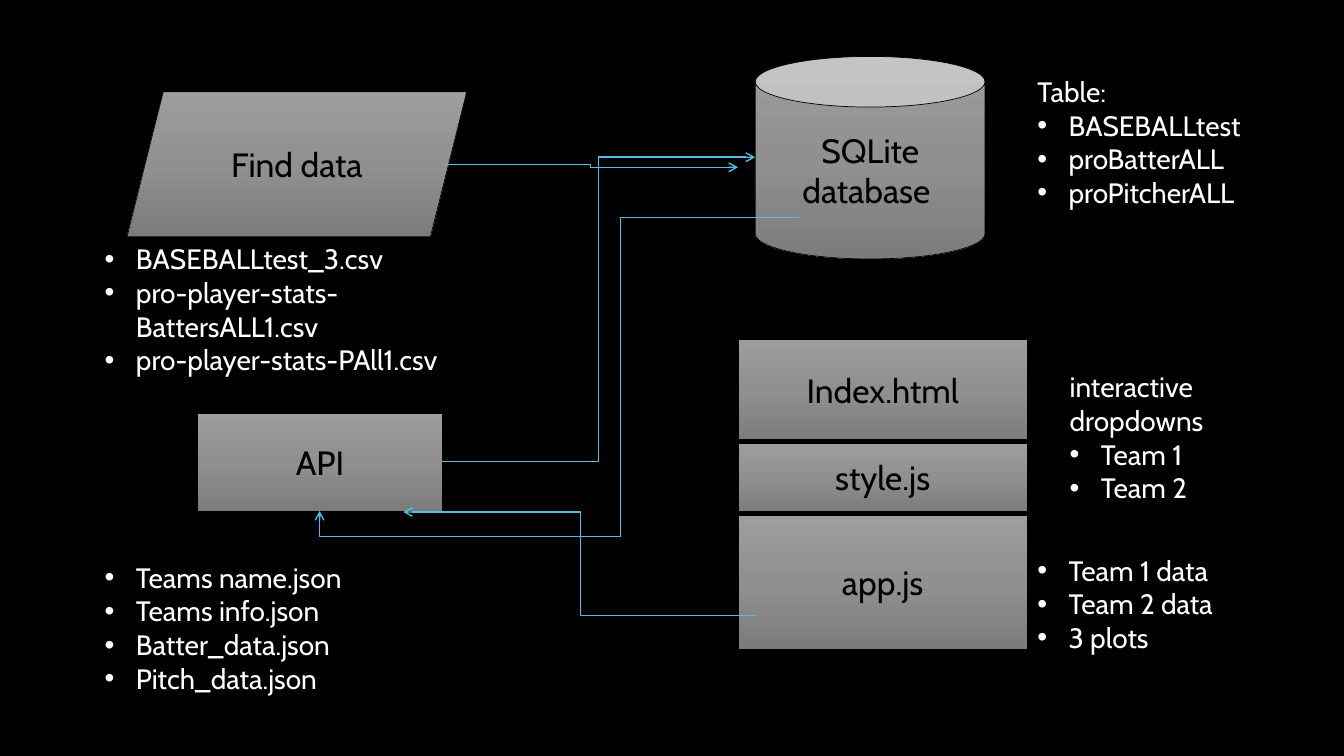
from copy import deepcopy
from dataclasses import dataclass

from lxml.etree import SubElement
from pptx import Presentation
from pptx.dml.color import RGBColor
from pptx.enum.shapes import MSO_CONNECTOR, MSO_SHAPE
from pptx.enum.text import MSO_ANCHOR, MSO_AUTO_SIZE, PP_ALIGN
from pptx.oxml.ns import qn
from pptx.util import Inches, Pt


@dataclass(frozen=True)
class Theme:
    """Colours, font and sizes of the slide."""
    background: str = "000000"
    box_text: str = "000000"
    note_text: str = "FFFFFF"
    outline: str = "000000"
    flow: str = "57BCE5"
    gradient: tuple = ((0, "9D9D9D"), (0.5, "909090"), (1, "7C7C7C"))
    font: str = "Cabin"
    box_size: int = 24
    note_size: int = 20
    outline_width: float = 0.5
    flow_width: float = 1
    bullet_indent: float = 0.31


THEME = Theme()

# Text, shape, (left, top, width, height)
STORES = [
    ("SQLite database ", MSO_SHAPE.CAN, (7.49, 0.56, 2.28, 2.01)),
    ("Find data", MSO_SHAPE.PARALLELOGRAM, (1.26, 0.91, 3.37, 1.44)),
    ("API", MSO_SHAPE.RECTANGLE, (1.96, 4.1, 2.43, 0.97)),
]

# Web files stacked in one column: text, height
WEB_FILES = [("Index.html", 0.99), ("style.js", 0.68), ("app.js", 1.33)]
WEB_LEFT, WEB_TOP, WEB_WIDTH, WEB_GAP = 7.32, 3.37, 2.87, 0.035

# Start, end, preset, bend positions as shares of the width and height
FLOWS = [
    ((4.39, 1.63), (7.32, 1.66), "bentConnector3", (0.5,)),
    ((4.38, 4.58), (7.49, 1.56), "bentConnector3", (0.5,)),
    ((7.92, 2.16), (3.17, 5.07), "bentConnector4", (0.372, 1.086)),
    ((7.51, 6.11), (4, 5.08), "bentConnector3", (0.5,)),
]

# Heading, bullets, (left, top, width, height)
NOTES = [
    ("", ["BASEBALLtest_3.csv", "pro-player-stats-BattersALL1.csv",
          "pro-player-stats-PAll1.csv"], (0.94, 2.35, 3.7, 1.45)),
    ("Table:", ["BASEBALLtest", "proBatterALL", "proPitcherALL"],
     (10.19, 0.69, 2.87, 1.78)),
    ("", ["Teams name.json", "Teams info.json", "Batter_data.json",
          "Pitch_data.json"], (0.94, 5.51, 4.64, 1.78)),
    ("", ["Team 1 data", "Team 2 data", "3 plots"], (10.19, 5.44, 2.4, 1.11)),
    ("interactive dropdowns", ["Team 1", "Team 2"], (10.51, 3.62, 2.55, 1.45)),
]


def set_values(target, values):
    """Set every attribute named in a dict."""
    for name, value in values.items():
        setattr(target, name, value)


def write(para, text, size, color):
    """Add one formatted span of text to a paragraph."""
    span = para.add_run()
    span.text = text
    set_values(span.font, {"name": THEME.font, "size": Pt(size)})
    span.font.color.rgb = RGBColor.from_string(color)


def set_line(line, color, width):
    """Give a line its colour and width."""
    line.color.rgb = RGBColor.from_string(color)
    line.width = Pt(width)


def fill_gradient(shape):
    """Fill a shape with the grey gradient, running downwards."""
    shape.fill.gradient()
    shape.fill.gradient_angle = 270
    stop_list = shape._element.spPr.find(".//" + qn("a:gsLst"))
    stop_list.append(deepcopy(stop_list[0]))
    for stop, (position, color) in zip(shape.fill.gradient_stops, THEME.gradient):
        stop.position = position
        stop.color.rgb = RGBColor.from_string(color)


def add_box(page, text, kind, place):
    """Add a grey shape with centred text."""
    box = page.shapes.add_shape(kind, *map(Inches, place))
    box.shadow.inherit = False
    fill_gradient(box)
    set_line(box.line, THEME.outline, THEME.outline_width)
    set_values(box.text_frame, {"word_wrap": True,
                                "vertical_anchor": MSO_ANCHOR.MIDDLE})
    para = box.text_frame.paragraphs[0]
    para.alignment = PP_ALIGN.CENTER
    write(para, text, THEME.box_size, THEME.box_text)


def add_web_files(page):
    """Stack the web files with equal gaps."""
    top = WEB_TOP
    for text, height in WEB_FILES:
        add_box(page, text, MSO_SHAPE.RECTANGLE, (WEB_LEFT, top, WEB_WIDTH, height))
        top += height + WEB_GAP


def add_flow(page, start, end, preset, bends):
    """Add a bent arrow from start to end."""
    flow = page.shapes.add_connector(MSO_CONNECTOR.ELBOW, *map(Inches, start + end))
    set_line(flow.line, THEME.flow, THEME.flow_width)
    properties = flow._element.spPr
    geometry = properties.find(qn("a:prstGeom"))
    geometry.set("prst", preset)
    guides = geometry.find(qn("a:avLst"))
    if guides is None:
        guides = SubElement(geometry, qn("a:avLst"))
    for number, share in enumerate(bends, 1):
        SubElement(guides, qn("a:gd"), name=f"adj{number}",
                   fmla=f"val {round(share * 100000)}")
    SubElement(properties.find(qn("a:ln")), qn("a:tailEnd"), type="arrow")
    SubElement(properties, qn("a:effectLst"))


def add_bullet(para):
    """Give a paragraph a round bullet and a hanging indent."""
    properties = para._p.get_or_add_pPr()
    indent = Inches(THEME.bullet_indent)
    properties.set("marL", str(indent))
    properties.set("indent", str(-indent))
    SubElement(properties, qn("a:buFont"), typeface="Arial")
    SubElement(properties, qn("a:buChar"), char="•")


def add_note(page, heading, bullets, place):
    """Add a text box with an optional heading and a bullet list."""
    frame = page.shapes.add_textbox(*map(Inches, place)).text_frame
    set_values(frame, {"word_wrap": True,
                       "auto_size": MSO_AUTO_SIZE.SHAPE_TO_FIT_TEXT})
    lines = [(heading, False)] if heading else []
    lines += [(bullet, True) for bullet in bullets]
    for index, (text, bulleted) in enumerate(lines):
        para = frame.add_paragraph() if index else frame.paragraphs[0]
        if bulleted:
            add_bullet(para)
        write(para, text, THEME.note_size, THEME.note_text)


def build():
    """Build the slide and save the deck."""
    deck = Presentation()
    set_values(deck, {"slide_width": Inches(13.33), "slide_height": Inches(7.5)})
    page = deck.slides.add_slide(deck.slide_layouts[6])
    page.background.fill.solid()
    page.background.fill.fore_color.rgb = RGBColor.from_string(THEME.background)
    for store in STORES:
        add_box(page, *store)
    add_web_files(page)
    for flow in FLOWS:
        add_flow(page, *flow)
    for note in NOTES:
        add_note(page, *note)
    deck.save("out.pptx")


build()
